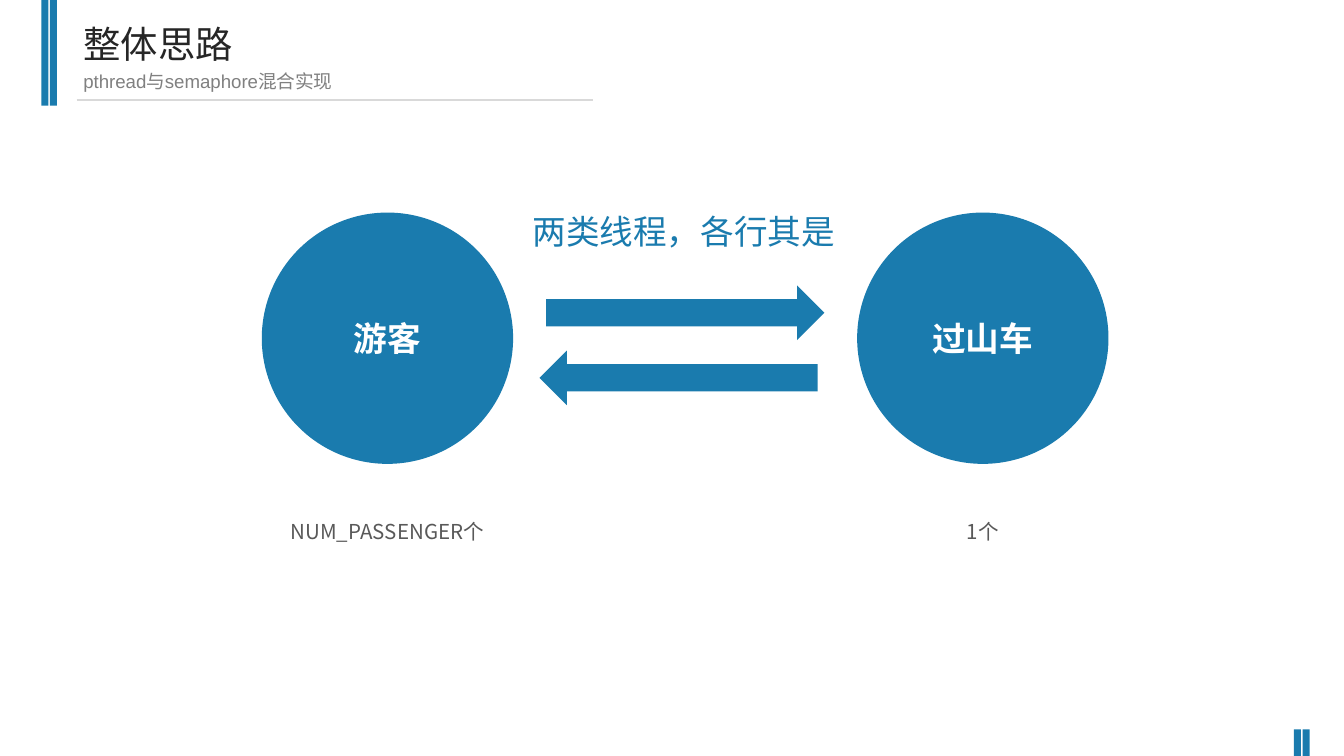
"""Build the slide on two kinds of threads, visitors and a roller coaster."""
from lxml import etree
from pptx import Presentation
from pptx.dml.color import RGBColor
from pptx.enum.shapes import MSO_CONNECTOR, MSO_SHAPE
from pptx.enum.text import MSO_ANCHOR, MSO_AUTO_SIZE, PP_ALIGN
from pptx.oxml.ns import qn
from pptx.util import Inches, Pt

RECTANGLE, OVAL, ARROW = MSO_SHAPE.RECTANGLE, MSO_SHAPE.OVAL, MSO_SHAPE.RIGHT_ARROW
STRAIGHT = MSO_CONNECTOR.STRAIGHT
LEFT, CENTER = PP_ALIGN.LEFT, PP_ALIGN.CENTER
TOP, MIDDLE = MSO_ANCHOR.TOP, MSO_ANCHOR.MIDDLE
GROW = MSO_AUTO_SIZE.SHAPE_TO_FIT_TEXT
BLUE = "1A7BAE"
rgb = RGBColor.from_string

deck = Presentation()
deck.slide_width = Inches(10)
deck.slide_height = deck.slide_width * 9 // 16
CELL = deck.slide_width // 100
slide = deck.slides.add_slide(deck.slide_layouts[0])
shapes = slide.shapes


def add_block(kind, column, row, columns, rows, rotation=0):
    block = shapes.add_shape(kind, *(int(n * CELL) for n in (column, row, columns, rows)))
    block.shadow.inherit = False
    block.fill.solid()
    block.fill.fore_color.rgb = rgb(BLUE)
    block.line.fill.background()
    block.rotation = rotation
    return block


def write(holder, text, size, font, color, align=LEFT, anchor=TOP, bold=False, spacing=1.0):
    frame = holder.text_frame
    frame.word_wrap = True
    frame.vertical_anchor = anchor
    paragraph = frame.paragraphs[0]
    paragraph.alignment = align
    paragraph.line_spacing = spacing
    paragraph.space_before = Pt(0)
    run = paragraph.add_run()
    run.text = text
    run.font.size, run.font.name, run.font.bold = Pt(size), font, bold
    run.font.color.rgb = rgb(color)
    return frame


for column, row, rows in [(3.08, 0, 7.87), (96.28, 54.28, 1.97)]:
    for stripe in range(2):
        add_block(RECTANGLE, column + stripe * 0.64, row, 0.52, rows)

rule = shapes.add_connector(STRAIGHT, *(int(n * CELL) for n in (5.7, 7.45, 44.1, 7.45)))
rule.line.color.rgb = rgb("D9D9D9")
rule.line.width = Pt(0.75)
etree.SubElement(rule.element.spPr, qn("a:effectLst"))

headings = [
    (slide.placeholders[0], 1.1, 4.4, "整体思路", 20, "Roboto Condensed", "262626"),
    (slide.placeholders[1], 4.7, 2.7, "pthread与semaphore混合实现", 10, "Arial", "808080"),
]
for heading, row, rows, text, size, font, color in headings:
    heading.left, heading.top, heading.width, heading.height = (
        int(n * CELL) for n in (5.2, row, 42.3, rows)
    )
    write(heading, text, size, font, color).auto_size = GROW

DIAMETER = 18.7
for column, role, count, rows in [
    (19.48, "游客", "NUM_PASSENGER个", 3.5),
    (63.78, "过山车", "1个", 6.2),
]:
    circle = add_block(OVAL, column, 15.82, DIAMETER, DIAMETER)
    write(circle, role, 18, "Arial", "FFFFFF", CENTER, MIDDLE, bold=True)
    label = shapes.add_textbox(*(int(n * CELL) for n in (column, 37.2, DIAMETER, rows)))
    write(label, count, 11, "Noto Sans CJK SC", "595959", CENTER, spacing=1.5).auto_size = GROW

for column, row, rotation in [(40.64, 21.24, 0), (40.14, 26.08, 180)]:
    add_block(ARROW, column, row, 20.7, 4.06, rotation)

caption = shapes.add_textbox(*(int(n * CELL) for n in (38.64, 15.2, 24.7, 4)))
caption_frame = write(caption, "两类线程，各行其是", 18, "Arial", BLUE)
caption_frame.word_wrap = False
caption_frame.auto_size = GROW

deck.save("out.pptx")
